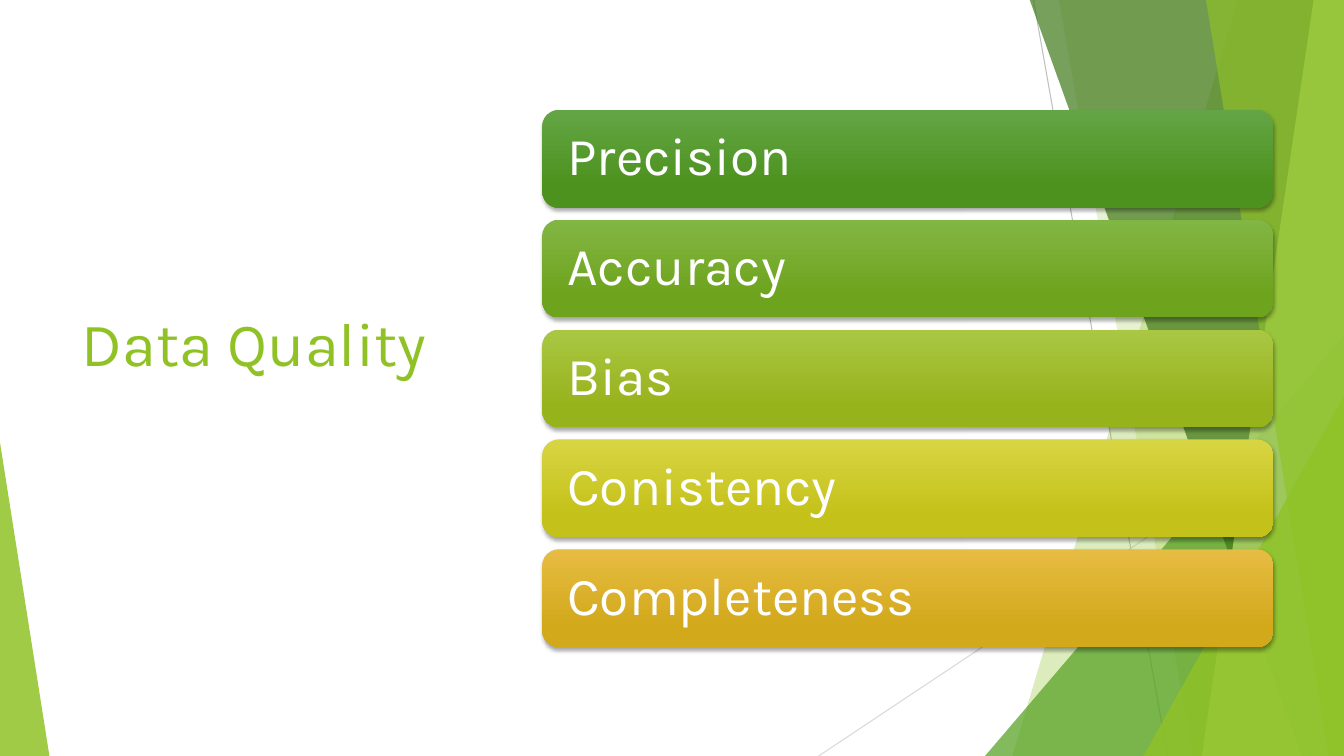
from dataclasses import dataclass

from lxml.etree import SubElement
from pptx import Presentation
from pptx.dml.color import RGBColor
from pptx.enum.shapes import MSO_CONNECTOR as Connector, MSO_SHAPE as Shape
from pptx.enum.text import MSO_ANCHOR as Anchor, PP_ALIGN as Align
from pptx.oxml.ns import qn
from pptx.util import Inches, Pt


@dataclass(frozen=True)
class Theme:
    """Colours, font and type sizes of the slide."""
    font: str = "Karla"
    title_size: int = 44
    bar_size: int = 38
    lime: str = "90C226"
    green: str = "54A021"
    forest: str = "3F7819"
    pale: str = "C0E474"
    white: str = "FFFFFF"
    shadow: str = "000000"
    gray: str = "BFBFBF"
    light_gray: str = "D9D9D9"


THEME = Theme()
WIDTH, HEIGHT = 13.33, 7.5
RIBBON_TOP = -0.01
BAR_LEFT, BAR_TOP, BAR_WIDTH, BAR_HEIGHT, BAR_PITCH = 5.38, 1.09, 7.25, 0.97, 1.09
BARS = [
    ("Precision", "63A545", "4D921E"),
    ("Accuracy", "82B644", "6EA31D"),
    ("Bias", "AAC744", "97B31C"),
    ("Conistency", "D8D543", "C4C11A"),
    ("Completeness", "E7BC43", "D2A91B"),
]
TITLE_FRAME = {"word_wrap": True, "vertical_anchor": Anchor.MIDDLE,
               "margin_bottom": Inches(0.77)}
BAR_FRAME = {"word_wrap": True, "vertical_anchor": Anchor.MIDDLE,
             "margin_left": Inches(0.2), "margin_right": Inches(0.2)}


def rgb(color):
    """Turn a hex string into a colour."""
    return RGBColor.from_string(color)


def apply(target, formats):
    """Set each format value on the target."""
    for name, value in formats.items():
        setattr(target, name, value)


def tint(shape, color, opacity):
    """Give a shape a see-through fill without outline or shadow."""
    shape.shadow.inherit = False
    shape.line.fill.background()
    shape.fill.solid()
    shape.fill.fore_color.rgb = rgb(color)
    swatch = shape.element.spPr.find(qn("a:solidFill"))[0]
    SubElement(swatch, qn("a:alpha"), val=str(opacity * 1000))


def add_thin_line(slide, start, end, color):
    """Draw one hairline of the backdrop."""
    ends = [Inches(value) for value in (*start, *end)]
    hairline = slide.shapes.add_connector(Connector.STRAIGHT, *ends)
    hairline.line.color.rgb = rgb(color)
    hairline.line.width = Pt(0.75)
    SubElement(hairline.element.spPr, qn("a:effectLst"))


def add_ribbon(slide, top_x, bottom_x, color, opacity):
    """Draw a slanted band that reaches the right edge."""
    corners = [(WIDTH, RIBBON_TOP), (WIDTH, HEIGHT), (bottom_x, HEIGHT)]
    outline = slide.shapes.build_freeform(Inches(top_x), Inches(RIBBON_TOP))
    outline.add_line_segments([(Inches(x), Inches(y)) for x, y in corners])
    tint(outline.convert_to_shape(), color, opacity)


def add_corner(slide, left, width, height, apex, color, opacity):
    """Draw a triangle that stands on the bottom edge."""
    corner = slide.shapes.add_shape(
        Shape.ISOSCELES_TRIANGLE, Inches(left), Inches(HEIGHT - height),
        Inches(width), Inches(height))
    corner.adjustments[0] = apex
    tint(corner, color, opacity)


def write(shape, text, frame_formats, size, color):
    """Put one left-aligned line of text into a shape."""
    frame = shape.text_frame
    apply(frame, frame_formats)
    line = frame.paragraphs[0]
    line.alignment = Align.LEFT
    run = line.add_run()
    run.text = text
    apply(run.font, {"name": THEME.font, "size": Pt(size)})
    run.font.color.rgb = rgb(color)
    return line


def cast_shadow(shape):
    """Add a soft shadow below a shape."""
    shape.shadow.inherit = False
    effects = shape.element.spPr.find(qn("a:effectLst"))
    shadow = SubElement(effects, qn("a:outerShdw"), blurRad=str(Pt(3)),
                        dist=str(Pt(2)), dir="5400000", rotWithShape="0")
    swatch = SubElement(shadow, qn("a:srgbClr"), val=THEME.shadow)
    SubElement(swatch, qn("a:alpha"), val="35000")


def add_bar(slide, index, label, top_color, bottom_color):
    """Draw one labelled quality bar."""
    bar = slide.shapes.add_shape(
        Shape.ROUNDED_RECTANGLE, Inches(BAR_LEFT),
        Inches(BAR_TOP + index * BAR_PITCH), Inches(BAR_WIDTH), Inches(BAR_HEIGHT))
    bar.line.fill.background()
    bar.fill.gradient()
    bar.fill.gradient_angle = 270
    stops = zip(bar.fill.gradient_stops, (0, 0.78), (top_color, bottom_color))
    for stop, position, color in stops:
        stop.position = position
        stop.color.rgb = rgb(color)
    cast_shadow(bar)
    line = write(bar, label, BAR_FRAME, THEME.bar_size, THEME.white)
    line.line_spacing = 0.9


def add_backdrop(slide):
    """Draw the hairlines, ribbons and corners behind the content."""
    add_thin_line(slide, (10.25, 0), (11.58, HEIGHT), THEME.gray)
    add_thin_line(slide, (WIDTH, 4.03), (8.12, HEIGHT), THEME.light_gray)
    add_ribbon(slide, 12.28, 10.04, THEME.lime, 30)
    add_ribbon(slide, 10.5, 11.83, THEME.lime, 20)
    add_corner(slide, 9.77, 3.56, 4.17, 1, THEME.green, 72)
    add_ribbon(slide, 10.21, 12.91, THEME.forest, 70)
    add_ribbon(slide, 13.03, 11.92, THEME.pale, 70)
    add_ribbon(slide, 11.96, 13.18, THEME.lime, 65)
    add_corner(slide, 11.34, 1.99, 3.57, 1, THEME.lime, 80)
    add_corner(slide, 0, 0.49, 3.11, 0, THEME.lime, 85)


def add_title(slide, text):
    """Write the slide title on the left."""
    title = slide.shapes.add_textbox(
        Inches(0.71), Inches(1.51), Inches(3.88), Inches(4.48))
    write(title, text, TITLE_FRAME, THEME.title_size, THEME.lime)


def main():
    """Build and save the slide."""
    deck = Presentation()
    apply(deck, {"slide_width": Inches(WIDTH), "slide_height": Inches(HEIGHT)})
    slide = deck.slides.add_slide(deck.slide_layouts[6])
    add_backdrop(slide)
    add_title(slide, "Data Quality")
    for index, bar in enumerate(BARS):
        add_bar(slide, index, *bar)
    deck.save("out.pptx")


if __name__ == "__main__":
    main()
